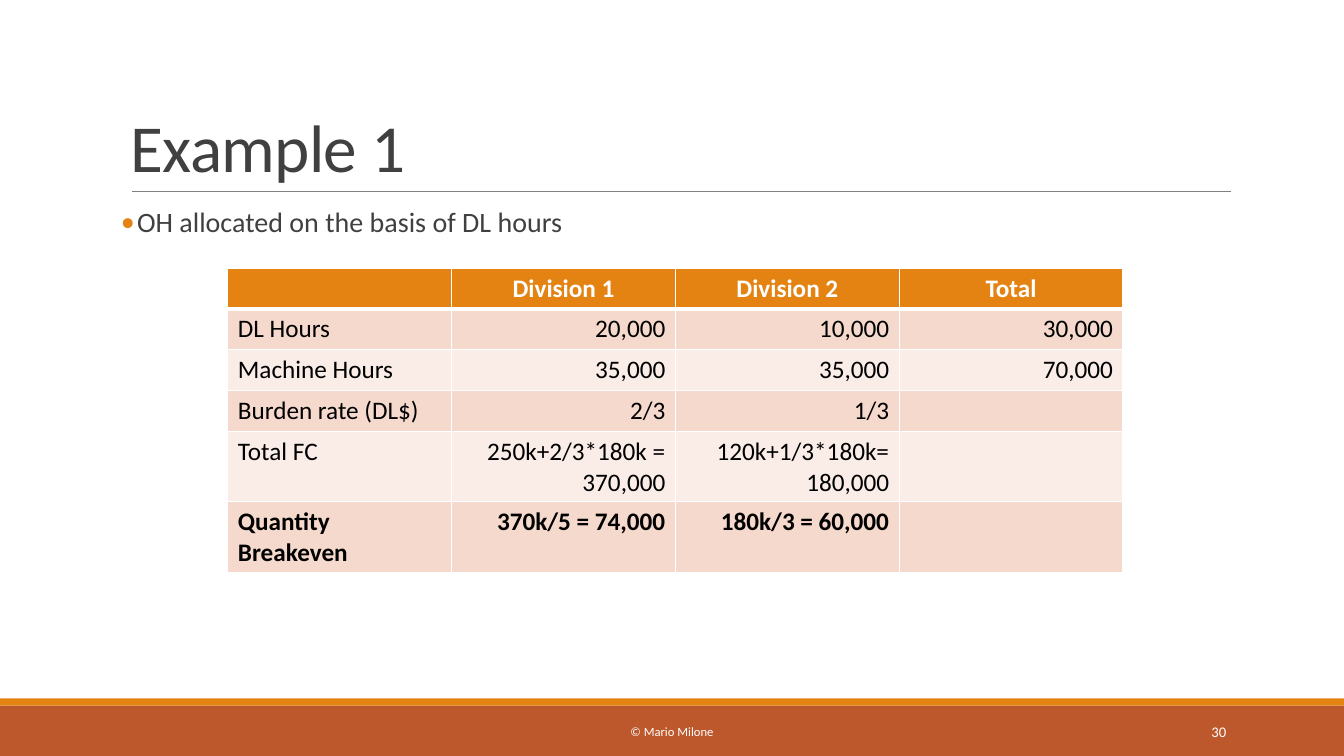
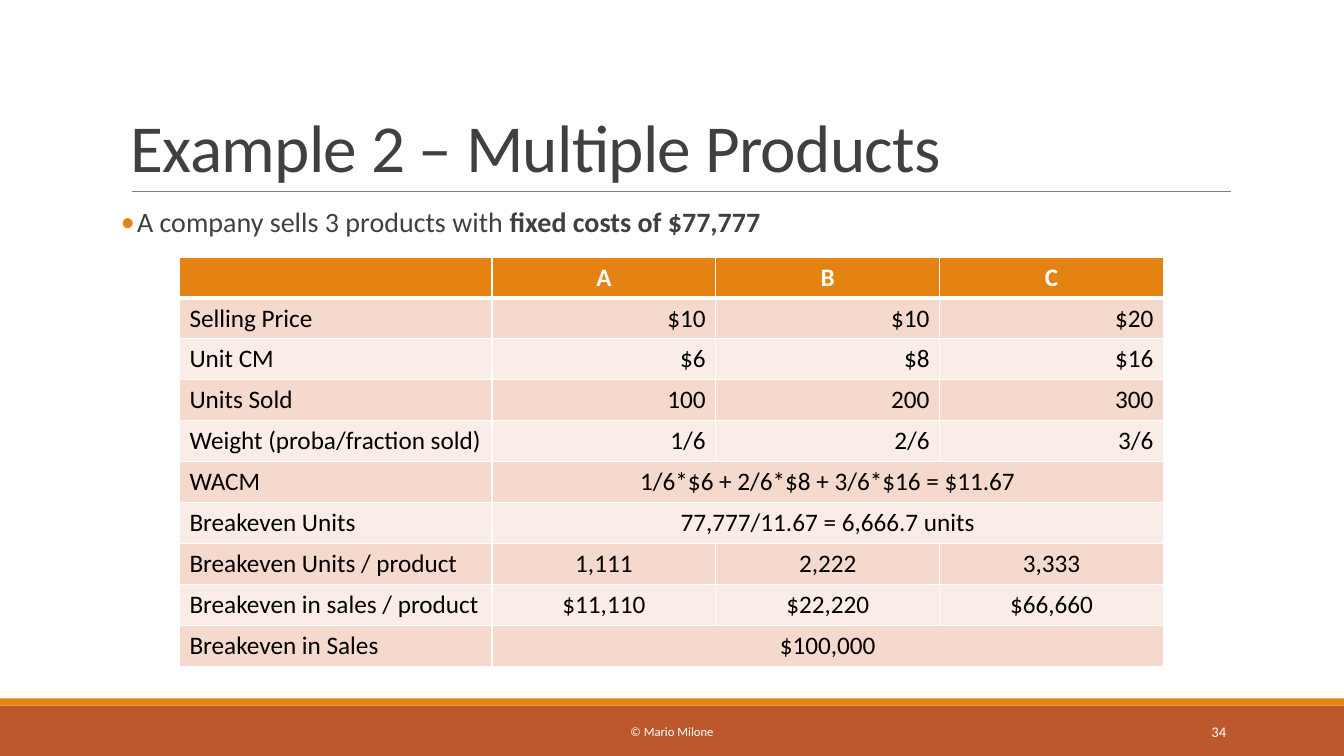
from dataclasses import dataclass

from lxml.etree import SubElement
from pptx import Presentation
from pptx.dml.color import RGBColor
from pptx.enum.shapes import MSO_CONNECTOR, MSO_SHAPE
from pptx.enum.text import MSO_ANCHOR, PP_ALIGN
from pptx.oxml.ns import qn
from pptx.slide import Slide
from pptx.table import _Cell
from pptx.text.text import Font, TextFrame
from pptx.util import Inches, Pt

FACE = "Calibri"
ORANGE, RUST, GREY, RULE = "E48312", "BD582C", "404040", "808080"
WHITE, BLACK = "FFFFFF", "000000"
BANDS = ("F5D9CC", "FAEDE7")
WIDTH, HEIGHT = 13.33, 7.5
LEFT, CENTER, RIGHT = PP_ALIGN.LEFT, PP_ALIGN.CENTER, PP_ALIGN.RIGHT


@dataclass
class Row:
    """A label and its values; a single value spans all value columns."""
    label: str
    values: tuple[str, ...]
    align: PP_ALIGN = RIGHT
    bold: bool = False


@dataclass
class Grid:
    left: float
    top: float
    height: float
    first: float
    heads: tuple[str, ...]
    rows: tuple[Row, ...]


@dataclass
class Page:
    number: int
    title: str
    lead: str
    strong: str
    grid: Grid


PAGES = (
    Page(30, "Example 1", "OH allocated on the basis of DL hours", "", Grid(
        2.26, 2.66, 2.43, 2.22, ("Division 1", "Division 2", "Total"), (
            Row("DL Hours", ("20,000", "10,000", "30,000")),
            Row("Machine Hours", ("35,000", "35,000", "70,000")),
            Row("Burden rate (DL$)", ("2/3", "1/3", "")),
            Row("Total FC", ("250k+2/3*180k =\n370,000",
                             "120k+1/3*180k=\n180,000", "")),
            Row("Quantity Breakeven",
                ("370k/5 = 74,000", "180k/3 = 60,000", ""), bold=True),
        ))),
    Page(34, "Example 2 – Multiple Products",
         "A company sells 3 products with ", "fixed costs of $77,777", Grid(
             1.78, 2.55, 4.06, 3.1, ("A", "B", "C"), (
                 Row("Selling Price", ("$10", "$10", "$20")),
                 Row("Unit CM", ("$6", "$8", "$16")),
                 Row("Units Sold", ("100", "200", "300")),
                 Row("Weight (proba/fraction sold)", ("1/6", "2/6", "3/6")),
                 Row("WACM", ("1/6*$6 + 2/6*$8 + 3/6*$16 = $11.67",), CENTER),
                 Row("Breakeven Units", ("77,777/11.67 = 6,666.7 units",), CENTER),
                 Row("Breakeven Units / product", ("1,111", "2,222", "3,333"), CENTER),
                 Row("Breakeven in sales / product",
                     ("$11,110", "$22,220", "$66,660"), CENTER),
                 Row("Breakeven in Sales", ("$100,000",), CENTER),
             ))),
)


def rgb(code: str) -> RGBColor:
    return RGBColor.from_string(code)


def style(font: Font, size: float, color: str, bold: bool = False) -> None:
    font.name, font.size, font.bold = FACE, Pt(size), bold
    font.color.rgb = rgb(color)


def add_band(slide: Slide, top: float, height: float, color: str) -> None:
    band = slide.shapes.add_shape(MSO_SHAPE.RECTANGLE, 0, Inches(top),
                                  Inches(WIDTH), Inches(height))
    band.shadow.inherit = False
    band.fill.solid()
    band.fill.fore_color.rgb = rgb(color)
    band.line.fill.background()


def add_rule(slide: Slide) -> None:
    rule = slide.shapes.add_connector(MSO_CONNECTOR.STRAIGHT, Inches(1.31), Inches(1.9),
                                      Inches(12.21), Inches(1.9))
    rule.line.color.rgb = rgb(RULE)
    rule.line.width = Pt(0.5)
    SubElement(rule._element.spPr, qn("a:effectLst"))


def add_text(slide: Slide, left: float, top: float, width: float, height: float,
             text: str, size: float, color: str, align: PP_ALIGN = LEFT,
             anchor: MSO_ANCHOR = MSO_ANCHOR.MIDDLE) -> TextFrame:
    box = slide.shapes.add_textbox(Inches(left), Inches(top), Inches(width), Inches(height))
    frame = box.text_frame
    frame.word_wrap = True
    frame.vertical_anchor = anchor
    frame.text = text
    para = frame.paragraphs[0]
    para.alignment = align
    style(para.runs[0].font, size, color)
    return frame


def add_title(slide: Slide, text: str) -> None:
    frame = add_text(slide, 1.2, 0.31, 11, 1.59, text, 48, GREY,
                     anchor=MSO_ANCHOR.BOTTOM)
    para = frame.paragraphs[0]
    para.line_spacing = 0.85
    para.runs[0]._r.get_or_add_rPr().set("spc", "-50")


def add_lead(slide: Slide, text: str, strong: str) -> None:
    """Add the bullet line, ending in bold words if there are any."""
    frame = add_text(slide, 1.2, 2.02, 11, 4.4, text, 20, GREY, anchor=MSO_ANCHOR.TOP)
    frame.margin_left = frame.margin_right = 0
    para = frame.paragraphs[0]
    props = para._p.get_or_add_pPr()
    props.set("marL", str(Inches(0.16)))
    props.set("indent", str(Inches(-0.16)))
    SubElement(SubElement(props, qn("a:buClr")), qn("a:srgbClr"), val=ORANGE)
    SubElement(props, qn("a:buFont"), typeface=FACE)
    SubElement(props, qn("a:buChar"), char="•")
    para.line_spacing = 0.9
    para.space_after = Pt(2)
    if strong:
        run = para.add_run()
        run.text = strong
        style(run.font, 20, GREY, True)


def set_edges(cell: _Cell, above: float, below: float) -> None:
    props = cell._tc.get_or_add_tcPr()
    for side, width in (("L", 1), ("R", 1), ("T", above), ("B", below)):
        edge = SubElement(props, qn(f"a:ln{side}"), w=str(Pt(width)))
        SubElement(SubElement(edge, qn("a:solidFill")), qn("a:srgbClr"), val=WHITE)


def fill_cell(cell: _Cell, text: str, align: PP_ALIGN, color: str, bold: bool) -> None:
    cell.text_frame.text = text
    for para in cell.text_frame.paragraphs:
        para.alignment = align
        style(para.font, 18, color, bold)
        for run in para.runs:
            style(run.font, 18, color, bold)


def add_grid(slide: Slide, grid: Grid) -> None:
    rows = (Row("", grid.heads, CENTER, True), *grid.rows)
    widths = (grid.first,) + (2.22,) * len(grid.heads)
    table = slide.shapes.add_table(len(rows), len(widths), Inches(grid.left),
                                   Inches(grid.top), Inches(sum(widths)),
                                   Inches(grid.height)).table
    table.horz_banding = False
    for column, width in zip(table.columns, widths):
        column.width = Inches(width)
    last = len(widths) - 1
    for i, row in enumerate(rows):
        shade = BANDS[(i - 1) % 2] if i else ORANGE
        for j in range(len(widths)):
            cell = table.cell(i, j)
            set_edges(cell, 3 if i == 1 else 1, 1 if i else 3)
            cell.fill.solid()
            cell.fill.fore_color.rgb = rgb(shade)
        if len(row.values) == 1:
            table.cell(i, 1).merge(table.cell(i, last))
        for j, text in enumerate((row.label, *row.values)):
            fill_cell(table.cell(i, j), text, row.align if j else LEFT,
                      BLACK if i else WHITE, row.bold)


def add_page(slide: Slide, page: Page) -> None:
    add_band(slide, 7, 0.5, RUST)
    add_band(slide, 6.93, 0.07, ORANGE)
    add_rule(slide)
    add_title(slide, page.title)
    add_lead(slide, page.lead, page.strong)
    add_text(slide, 4.03, 7.06, 5.27, 0.4, "© Mario Milone", 9, WHITE, CENTER)
    add_text(slide, 10.83, 7.06, 1.43, 0.4, str(page.number), 10.5, WHITE, RIGHT)
    add_grid(slide, page.grid)


def main() -> None:
    deck = Presentation()
    deck.slide_width, deck.slide_height = Inches(WIDTH), Inches(HEIGHT)
    for page in PAGES:
        add_page(deck.slides.add_slide(deck.slide_layouts[6]), page)
    deck.save("out.pptx")


if __name__ == "__main__":
    main()
